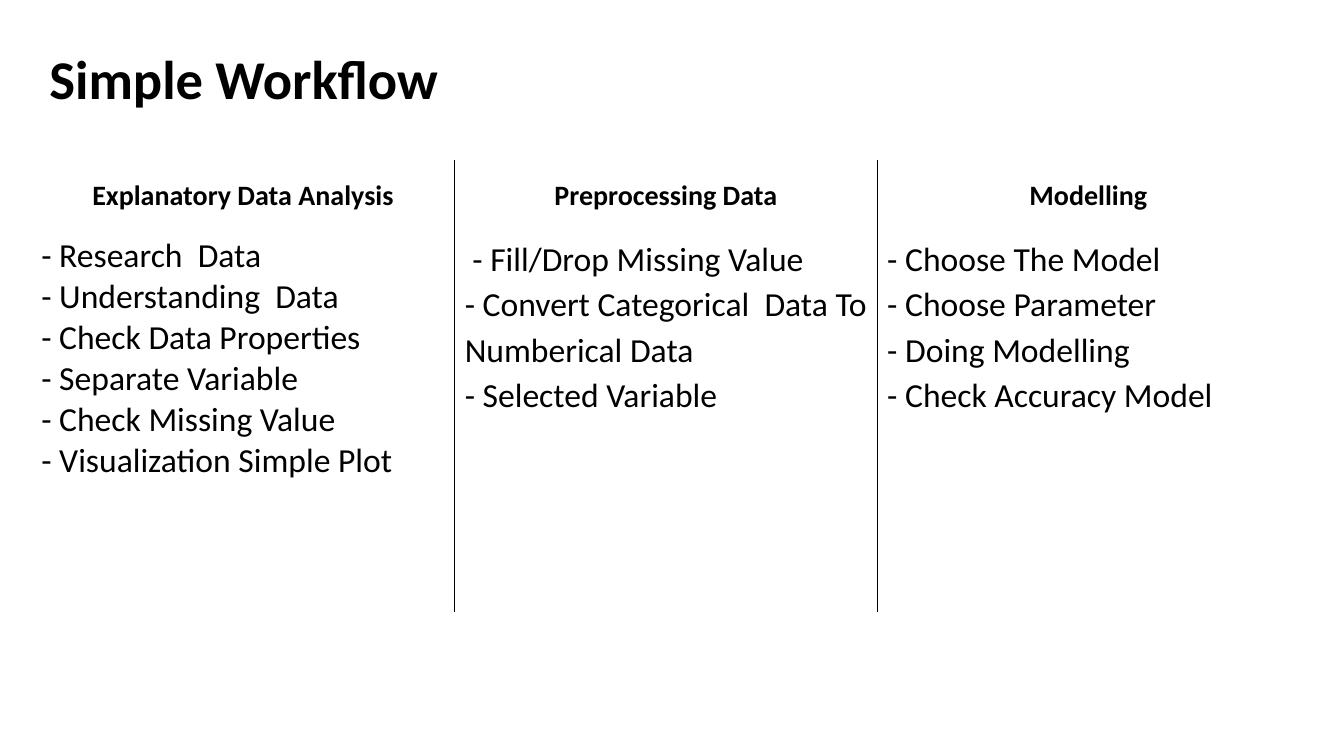
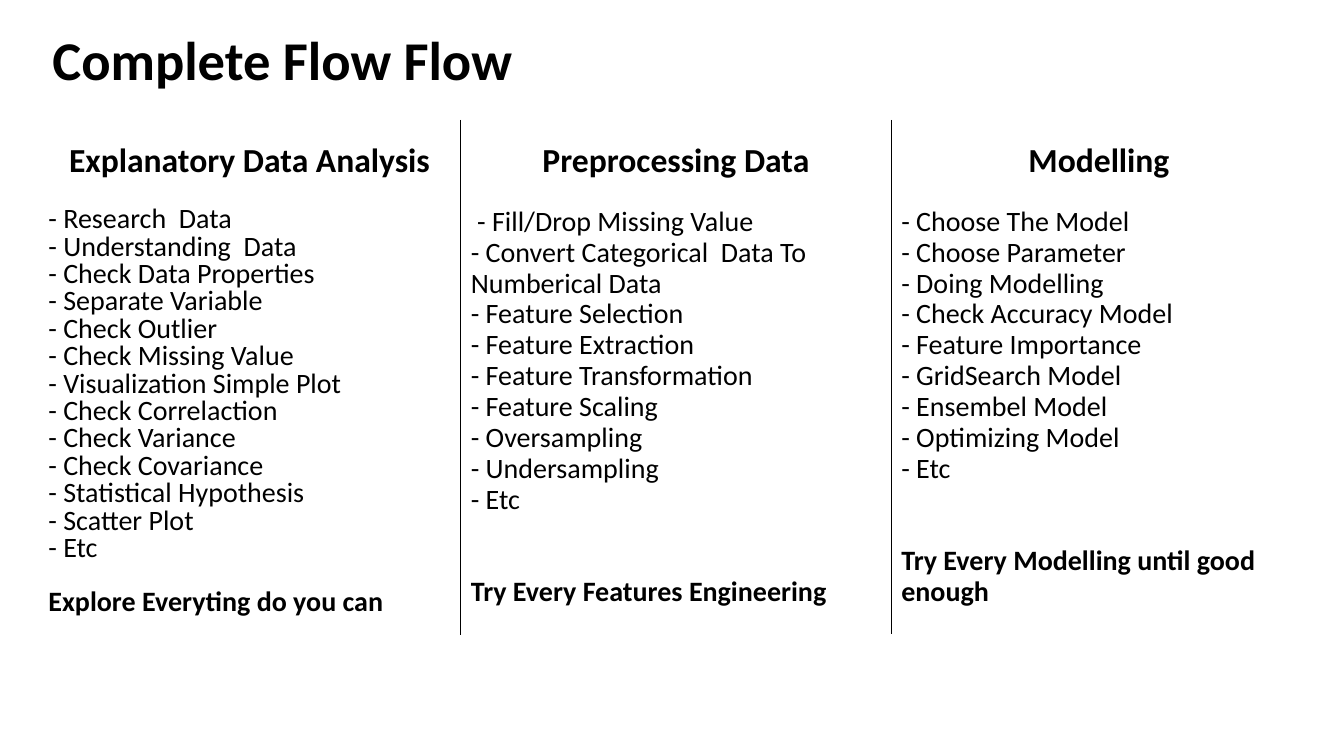
import dataclasses

import lxml.etree
import pptx
import pptx.dml.color
import pptx.enum.shapes
import pptx.enum.text
import pptx.oxml.ns
import pptx.util

PX = pptx.util.Inches(1) // 100
BLACK = pptx.dml.color.RGBColor(0x00, 0x00, 0x00)
WHITE = pptx.dml.color.RGBColor(0xFF, 0xFF, 0xFF)
FONT = "Calibri"
TITLE_SIZE = 39
NO_GRID_STYLE = "{2D5ABB26-0587-4C30-8999-92F81FD0307C}"
TITLE_ONLY = 5


@dataclasses.dataclass
class Column:
    heading: str
    steps: list
    spacing: float = 1.0
    closing: str = ""
    closing_gap: int = 0


@dataclasses.dataclass
class Workflow:
    title: str
    title_position: tuple
    table_position: tuple
    column_widths: tuple
    row_heights: tuple
    heading_size: int
    step_size: int
    columns: list


SIMPLE = Workflow(
    "Simple Workflow", (39, 49), (31, 159), (420, 419, 419), (70, 378), 20, 24,
    [
        Column("Explanatory Data Analysis", [
            "- Research  Data",
            "- Understanding  Data",
            "- Check Data Properties",
            "- Separate Variable",
            "- Check Missing Value",
            "- Visualization Simple Plot",
        ]),
        Column("Preprocessing Data", [
            " - Fill/Drop Missing Value",
            "- Convert Categorical  Data To Numberical Data",
            "- Selected Variable",
        ], 1.1),
        Column("Modelling", [
            "- Choose The Model",
            "- Choose Parameter",
            "- Doing Modelling",
            "- Check Accuracy Model",
        ], 1.1),
    ],
)

COMPLETE = Workflow(
    "Complete Flow Flow", (42, 30), (38, 119), (419, 427, 412), (81, 430), 24, 20,
    [
        Column("Explanatory Data Analysis", [
            "- Research  Data",
            "- Understanding  Data",
            "- Check Data Properties",
            "- Separate Variable",
            "- Check Outlier",
            "- Check Missing Value",
            "- Visualization Simple Plot",
            "- Check Correlaction",
            "- Check Variance",
            "- Check Covariance",
            "- Statistical Hypothesis",
            "- Scatter Plot",
            "- Etc",
        ], 0.8, "Explore Everyting do you can", 19),
        Column("Preprocessing Data", [
            " - Fill/Drop Missing Value",
            "- Convert Categorical  Data To Numberical Data",
            "- Feature Selection",
            "- Feature Extraction",
            "- Feature Transformation",
            "- Feature Scaling",
            "- Oversampling",
            "- Undersampling",
            "- Etc",
        ], 0.9, "Try Every Features Engineering", 44),
        Column("Modelling", [
            "- Choose The Model",
            "- Choose Parameter",
            "- Doing Modelling",
            "- Check Accuracy Model",
            "- Feature Importance",
            "- GridSearch Model",
            "- Ensembel Model",
            "- Optimizing Model",
            "- Etc",
        ], 0.9, "Try Every Modelling until good enough", 44),
    ],
)


def format_paragraph(paragraph, size, bold, spacing=1.0,
                     alignment=pptx.enum.text.PP_ALIGN.LEFT):
    paragraph.alignment = alignment
    paragraph.line_spacing = spacing
    paragraph.space_before = paragraph.space_after = pptx.util.Pt(0)
    for run in paragraph.runs:
        run.font.name = FONT
        run.font.size = pptx.util.Pt(size)
        run.font.bold = bold
        run.font.color.rgb = BLACK


def set_title(slide, text, position):
    title = slide.shapes.title
    title.left, title.top = (length * PX for length in position)
    title.width, title.height = 1161 * PX, 68 * PX
    frame = title.text_frame
    frame.text = text
    frame.word_wrap = True
    frame.auto_size = pptx.enum.text.MSO_AUTO_SIZE.NONE
    frame.vertical_anchor = pptx.enum.text.MSO_ANCHOR.MIDDLE
    format_paragraph(frame.paragraphs[0], TITLE_SIZE, True, 0.8)


def add_border(cell, side):
    properties = cell._tc.get_or_add_tcPr()
    line = lxml.etree.SubElement(properties, pptx.oxml.ns.qn(f"a:ln{side}"),
                                 w=str(pptx.util.Pt(1)))
    fill = lxml.etree.SubElement(line, pptx.oxml.ns.qn("a:solidFill"))
    lxml.etree.SubElement(fill, pptx.oxml.ns.qn("a:srgbClr"), val=str(BLACK))


def fill_heading(cell, text, size):
    cell.text_frame.text = text
    cell.vertical_anchor = pptx.enum.text.MSO_ANCHOR.MIDDLE
    format_paragraph(cell.text_frame.paragraphs[0], size, True,
                     alignment=pptx.enum.text.PP_ALIGN.CENTER)


def fill_steps(cell, column, size):
    frame = cell.text_frame
    frame.text = "\n".join(column.steps)
    for paragraph in frame.paragraphs:
        format_paragraph(paragraph, size, False, column.spacing)
    if column.closing:
        closing = frame.add_paragraph()
        closing.text = column.closing
        format_paragraph(closing, size, True, column.spacing)
        closing.space_before = pptx.util.Pt(column.closing_gap)


def add_workflow_table(slide, workflow):
    widths, heights = workflow.column_widths, workflow.row_heights
    left, top = workflow.table_position
    table = slide.shapes.add_table(
        len(heights), len(widths), left * PX, top * PX,
        sum(widths) * PX, sum(heights) * PX).table
    table.first_row = table.horz_banding = False
    table._tbl.tblPr.find(pptx.oxml.ns.qn("a:tableStyleId")).text = NO_GRID_STYLE
    for row, height in zip(table.rows, heights):
        row.height = height * PX
    last = len(widths) - 1
    for index, column in enumerate(workflow.columns):
        table.columns[index].width = widths[index] * PX
        heading, steps = table.cell(0, index), table.cell(1, index)
        fill_heading(heading, column.heading, workflow.heading_size)
        fill_steps(steps, column, workflow.step_size)
        for cell in (heading, steps):
            if index > 0:
                add_border(cell, "L")
            if index < last:
                add_border(cell, "R")
            cell.fill.background()


def add_footer_panel(slide):
    panel = slide.shapes.add_shape(
        pptx.enum.shapes.MSO_SHAPE.RECTANGLE,
        761 * PX, 630 * PX, 536 * PX, 77 * PX)
    panel.shadow.inherit = False
    panel.fill.solid()
    panel.fill.fore_color.rgb = WHITE
    panel.line.color.rgb = WHITE
    panel.line.width = pptx.util.Pt(1)


def add_workflow_slide(presentation, workflow):
    slide = presentation.slides.add_slide(presentation.slide_layouts[TITLE_ONLY])
    set_title(slide, workflow.title, workflow.title_position)
    add_workflow_table(slide, workflow)
    add_footer_panel(slide)


def main():
    presentation = pptx.Presentation()
    presentation.slide_width = 1333 * PX
    presentation.slide_height = 750 * PX
    for workflow in (SIMPLE, COMPLETE):
        add_workflow_slide(presentation, workflow)
    presentation.save("out.pptx")


if __name__ == "__main__":
    main()
